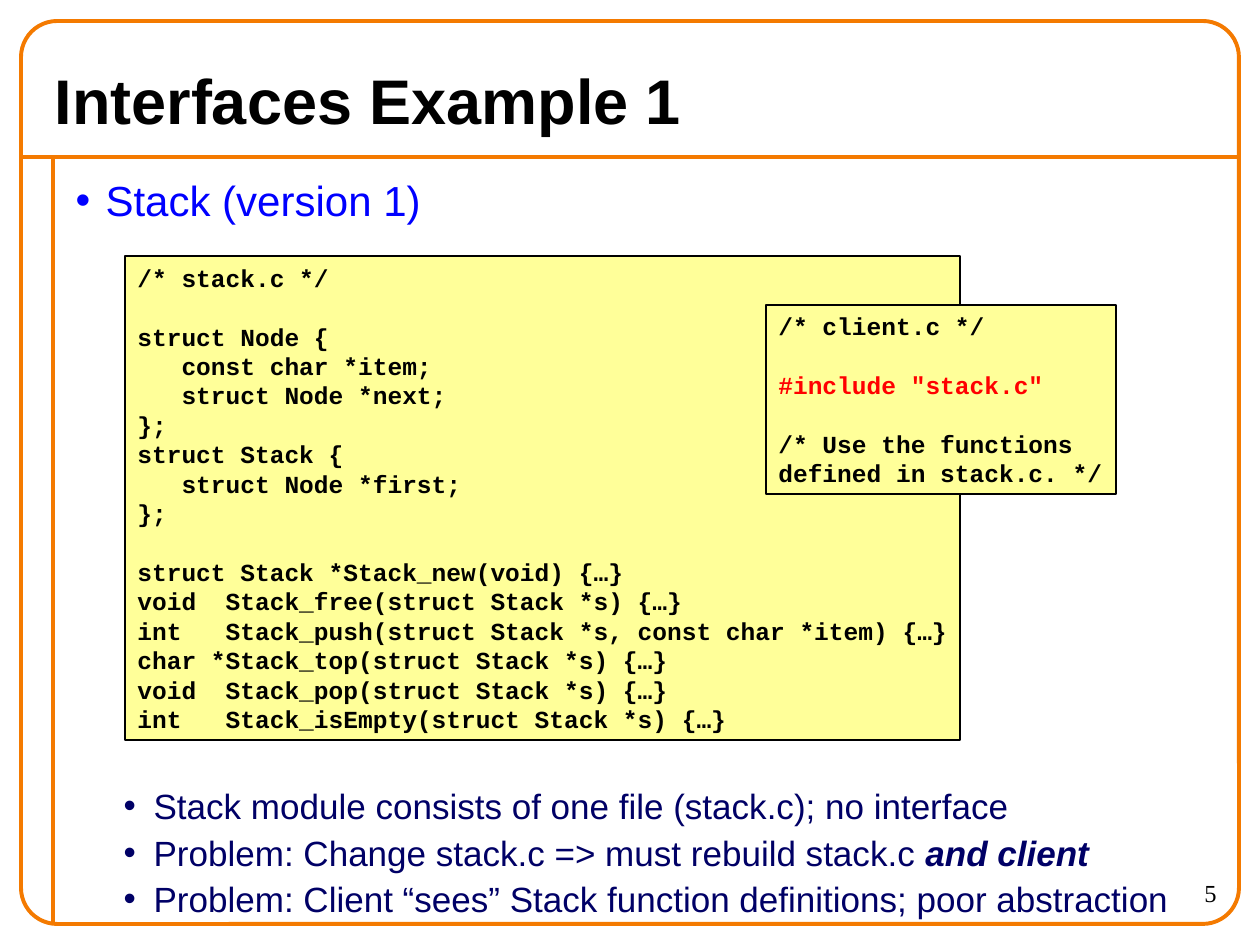
from lxml.etree import SubElement
from pptx import Presentation
from pptx.dml.color import RGBColor
from pptx.enum.shapes import MSO_CONNECTOR, MSO_SHAPE
from pptx.enum.text import MSO_ANCHOR, MSO_AUTO_SIZE, PP_ALIGN
from pptx.oxml.ns import qn
from pptx.util import Pt

SCALE = 914400 / 126  # EMU per px
COLORS = {
    "frame": "F47A00", "code": "FFFF99", "black": "000000",
    "topic": "0000FF", "point": "000066", "include": "FF0000",
}


def px(*lengths):
    return [round(length * SCALE) for length in lengths]


def write(para, text, size, color="black", font="Arial", bold=False, italic=False,
          before=0, align=PP_ALIGN.LEFT):
    para.alignment = align
    para.space_before = Pt(before)
    para.line_spacing = 1.0
    span = para.add_run()
    span.text = text
    span.font.name = font
    span.font.size = Pt(size)
    span.font.bold = bold
    span.font.italic = italic
    span.font.color.rgb = RGBColor.from_string(COLORS[color])


deck = Presentation()
deck.slide_width, deck.slide_height = px(1260, 945)
page = deck.slides.add_slide(deck.slide_layouts[1])
orange = RGBColor.from_string(COLORS["frame"])

# Frame and rules
frame = page.shapes.add_shape(MSO_SHAPE.ROUNDED_RECTANGLE, *px(21, 21, 1218, 903))
frame.adjustments[0] = 0.04
frame.shadow.inherit = False
frame.fill.background()
rules = [
    page.shapes.add_connector(MSO_CONNECTOR.STRAIGHT, *px(*ends))
    for ends in [(21, 157, 1239, 157), (53, 157, 53, 924)]
]
for rule in rules:
    SubElement(rule.element.spPr, qn("a:effectLst"))
for outline in [frame, *rules]:
    outline.line.color.rgb = orange
    outline.line.width = Pt(2.25)

# Title
title = page.shapes.title
title.left, title.top, title.width, title.height = px(42, 52, 1176, 94)
title.text_frame.auto_size = MSO_AUTO_SIZE.NONE
title.text_frame.vertical_anchor = MSO_ANCHOR.MIDDLE
write(title.text_frame.paragraphs[0], "Interfaces Example 1", 36, bold=True)

# Bullet list; the second bullet starts below the code boxes
body = page.placeholders[1]
body.left, body.top, body.width, body.height = px(63, 168, 1166, 756)
body.text_frame.auto_size = MSO_AUTO_SIZE.NONE
bullets = [
    ("Stack (version 1)", "", 0, 0),
    ("Stack module consists of one file (stack.c); no interface", "", 1, 320),
    ("Problem: Change stack.c => must rebuild stack.c ", "and client", 1, 2.5),
    ("Problem: Client “sees” Stack function definitions; poor abstraction", "", 1, 2.5),
]
for index, (text, stress, level, before) in enumerate(bullets):
    para = body.text_frame.paragraphs[0] if index == 0 else body.text_frame.add_paragraph()
    para.level = level
    color, size, margin = [("topic", 24, 30), ("point", 20, 78)][level]
    properties = para._p.get_or_add_pPr()
    properties.set("marL", str(px(margin)[0]))
    properties.set("indent", str(px(-30)[0]))
    bullet_color = SubElement(properties, qn("a:buClr"))
    SubElement(bullet_color, qn("a:srgbClr"), val=COLORS[color])
    SubElement(properties, qn("a:buFont"), typeface="Arial")
    SubElement(properties, qn("a:buChar"), char="•")
    write(para, text, size, color, before=before)
    if stress:
        write(para, stress, size, color, bold=True, italic=True, before=before)

# Code boxes
stack_code = """/* stack.c */

struct Node {
   const char *item;
   struct Node *next;
};
struct Stack {
   struct Node *first;
};

struct Stack *Stack_new(void) {…}
void  Stack_free(struct Stack *s) {…}
int   Stack_push(struct Stack *s, const char *item) {…}
char *Stack_top(struct Stack *s) {…}
void  Stack_pop(struct Stack *s) {…}
int   Stack_isEmpty(struct Stack *s) {…}"""
client_code = """/* client.c */

#include "stack.c"

/* Use the functions
defined in stack.c. */"""
for code, place in [(stack_code, (125, 256, 835, 484)), (client_code, (766, 305, 350, 189))]:
    box = page.shapes.add_shape(MSO_SHAPE.RECTANGLE, *px(*place))
    box.shadow.inherit = False
    box.fill.solid()
    box.fill.fore_color.rgb = RGBColor.from_string(COLORS["code"])
    box.line.color.rgb = RGBColor.from_string(COLORS["black"])
    box.line.width = Pt(1)
    box.text_frame.word_wrap = False
    box.text_frame.vertical_anchor = MSO_ANCHOR.MIDDLE
    para = box.text_frame.paragraphs[0]
    for number, block in enumerate(code.split("\n\n")):
        for row, line in enumerate(block.split("\n")):
            if number or row:
                para = box.text_frame.add_paragraph()
            write(para, line, 14, "include" if line.startswith("#") else "black",
                  font="Courier New", bold=True,
                  before=16.8 if number and row == 0 else 0)

# Page number
number_box = page.shapes.add_textbox(*px(1103, 872, 126, 53))
number_box.text_frame.word_wrap = True
write(number_box.text_frame.paragraphs[0], "5", 14, font="Times New Roman", align=PP_ALIGN.RIGHT)

deck.save("out.pptx")
